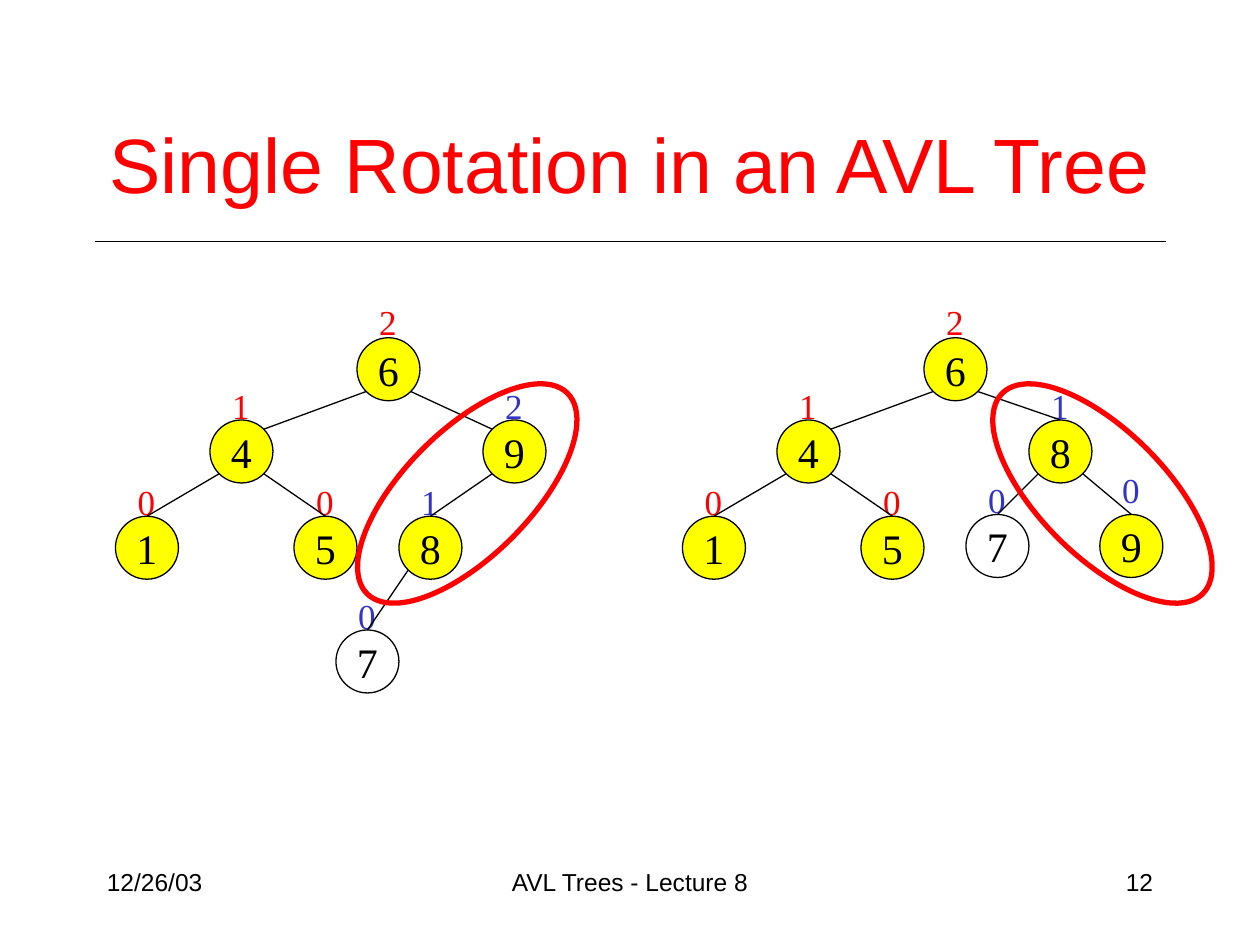
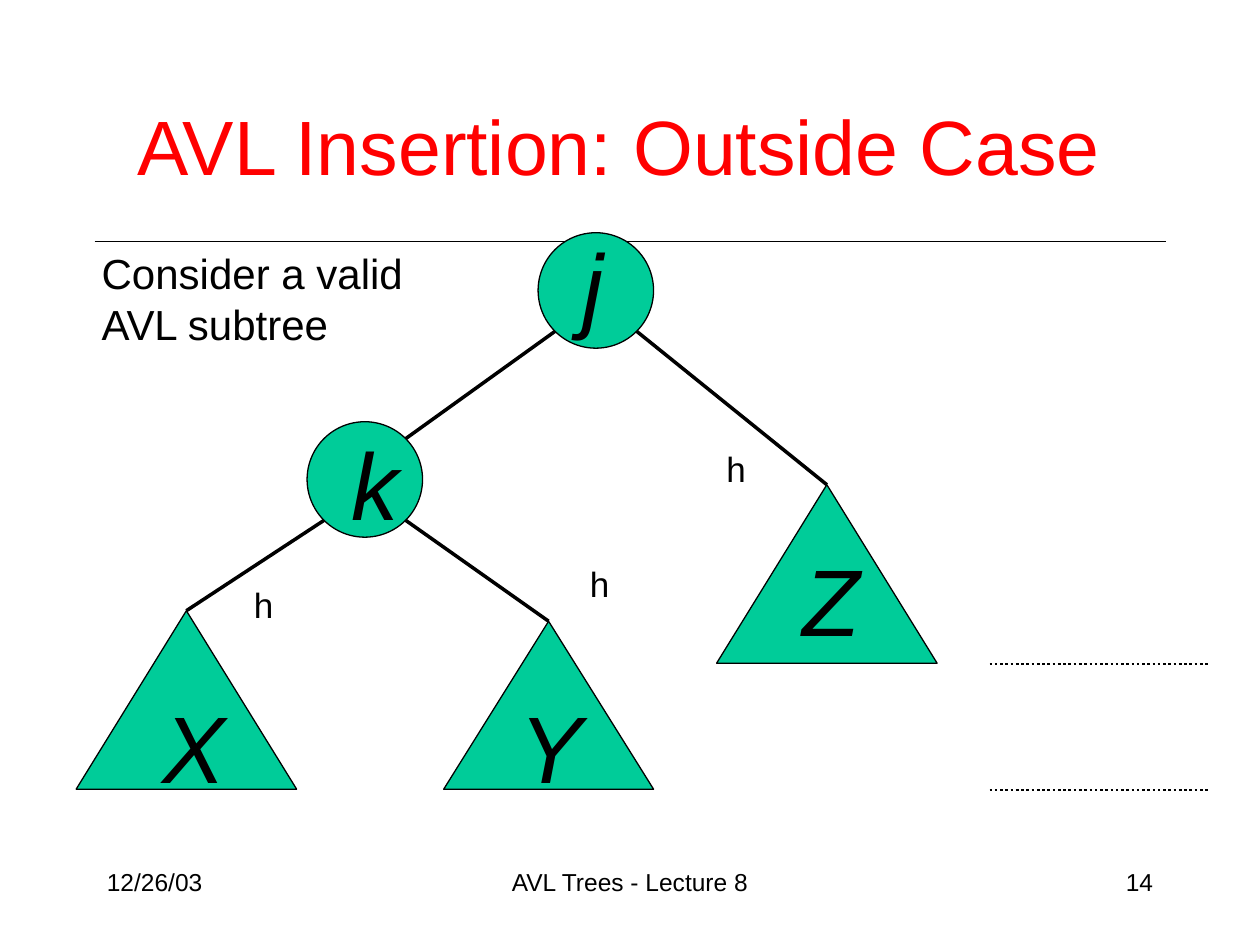
from lxml import etree
from pptx import Presentation
from pptx.dml import color
from pptx.enum import dml, shapes, text
from pptx.oxml import ns
from pptx.util import Pt

BLACK, RED, BLUE = "000000", "FF0000", "3333CC"
YELLOW, GREEN = "FFFF00", "00CC99"
SANS, SERIF = "Arial", "Times New Roman"
LEFT, CENTER, RIGHT = text.PP_ALIGN.LEFT, text.PP_ALIGN.CENTER, text.PP_ALIGN.RIGHT
TOP, MIDDLE = text.MSO_ANCHOR.TOP, text.MSO_ANCHOR.MIDDLE
ELLIPSE = shapes.MSO_SHAPE.OVAL
TRIANGLE = shapes.MSO_SHAPE.ISOSCELES_TRIANGLE
DIAGONAL = 0.5 ** 0.5


def rgb(value):
    return color.RGBColor.from_string(value)


class Deck:
    def __init__(self):
        self.prs = Presentation()
        self.prs.slide_width, self.prs.slide_height = Pt(720), Pt(540)
        self.slide = None

    def start(self, title, title_box, number):
        self.slide = self.prs.slides.add_slide(self.prs.slide_layouts[6])
        self.line((54, 138), (666, 138))
        footers = [("12/26/03", 54, 150, LEFT),
                   ("AVL Trees - Lecture 8", 246, 228, CENTER),
                   (number, 516, 150, RIGHT)]
        for words, left, width, align in footers:
            self.label([words], (left, 492, width, 36), 14, align=align)
        self.label([title], title_box, 44, RED, align=CENTER, anchor=MIDDLE)

    def set_text(self, frame, lines, size, ink=BLACK, font=SANS, align=LEFT,
                 anchor=TOP, wrap=True, italic=False, top_inset=3.6):
        frame.word_wrap = wrap
        frame.vertical_anchor = anchor
        frame.margin_left = frame.margin_right = Pt(7.2)
        frame.margin_top, frame.margin_bottom = Pt(top_inset), Pt(3.6)
        for index, words in enumerate(lines):
            paragraph = frame.add_paragraph() if index else frame.paragraphs[0]
            paragraph.alignment = align
            run = paragraph.add_run()
            run.text = words
            run.font.size, run.font.name = Pt(size), font
            run.font.italic = italic
            run.font.color.rgb = rgb(ink)

    def label(self, lines, box, size, ink=BLACK, **style):
        area = self.slide.shapes.add_textbox(*map(Pt, box))
        self.set_text(area.text_frame, lines, size, ink, **style)

    def shape(self, kind, box, fill=None, ink=BLACK, weight=0.75, turn=0):
        drawn = self.slide.shapes.add_shape(kind, *map(Pt, box))
        drawn.shadow.inherit = False
        drawn.rotation = turn
        if fill:
            drawn.fill.solid()
            drawn.fill.fore_color.rgb = rgb(fill)
        else:
            drawn.fill.background()
        drawn.line.color.rgb = rgb(ink)
        drawn.line.width = Pt(weight)
        return drawn

    def node(self, key, left, top, fill):
        circle = self.shape(ELLIPSE, (left, top, 36, 36), fill)
        self.set_text(circle.text_frame, [key], 24, font=SERIF, align=CENTER,
                      anchor=MIDDLE, wrap=False)
        return circle

    def line(self, begin, end, weight=0.75, dash=None):
        stroke = self.slide.shapes.add_connector(
            shapes.MSO_CONNECTOR.STRAIGHT, *map(Pt, (*begin, *end)))
        stroke.line.color.rgb = rgb(BLACK)
        stroke.line.width = Pt(weight)
        if dash:
            stroke.line.dash_style = dash
        etree.SubElement(stroke._element.spPr, ns.qn("a:effectLst"))
        return stroke

    def edge(self, parent, child, weight=0.75, to_top=True):
        side = 1 if child.left + child.width / 2 > parent.left + parent.width / 2 else -1
        begin = self.rim(parent, side, 1)
        if to_top:
            apex = ((child.left + child.width / 2) / Pt(1), child.top / Pt(1))
            self.line(begin, apex, weight).end_connect(child, 0)
        else:
            self.line(begin, self.rim(child, -side, -1), weight)

    def rim(self, circle, across, down):
        radius = circle.width / 2
        return tuple(round((start + radius * (1 + way * DIAGONAL)) / Pt(1), 2)
                     for start, way in ((circle.left, across), (circle.top, down)))

    def tree(self, nodes, edges):
        for key, left, top, height, ink, fill, rise in nodes:
            self.label([height], (left + 5.6, top - rise, 24.5, 31.7), 20, ink,
                       font=SERIF, wrap=False)
        circles = {key: self.node(key, left, top, fill)
                   for key, left, top, _, _, fill, _ in nodes}
        for parent, child, to_top in edges:
            self.edge(circles[parent], circles[child], to_top=to_top)


def single_rotation(deck):
    deck.start("Single Rotation in an AVL Tree", (54, 48, 612, 90), "12")
    steady_edges = [("6", "4", False), ("4", "1", True), ("4", "5", True)]
    before = [("9", 276, 240, "2", BLUE, YELLOW, 24),
              ("8", 228, 295, "1", BLUE, YELLOW, 24),
              ("7", 192, 360, "0", BLUE, None, 24)]
    before_edges = [("6", "9", False), ("9", "8", True), ("8", "7", True)]
    after = [("8", 588, 240, "1", BLUE, YELLOW, 24),
             ("9", 628.5, 294, "0", BLUE, YELLOW, 30),
             ("7", 552, 294, "0", BLUE, None, 24)]
    after_edges = [("6", "8", True), ("8", "9", True), ("8", "7", True)]
    stages = [(0, before, before_edges), (324, after, after_edges)]
    for shift, rotated, rotated_edges in stages:
        steady = [("6", 204 + shift, 193, "2", RED, YELLOW, 25),
                  ("4", 120 + shift, 240, "1", RED, YELLOW, 24),
                  ("1", 66 + shift, 295, "0", RED, YELLOW, 24),
                  ("5", 168 + shift, 295, "0", RED, YELLOW, 24)]
        deck.tree(steady + rotated, steady_edges + rotated_edges)
    for left, turn in ((186, 315), (549, 45)):
        deck.shape(ELLIPSE, (left, 246, 162, 72), ink=RED, weight=3, turn=turn)


def outside_case(deck):
    deck.start("AVL Insertion: Outside Case ", (52.5, 51, 615, 63), "14")
    parts = [("j", ELLIPSE, (307.5, 133, 66, 66), (325.5, 121)),
             ("k", ELLIPSE, (175.5, 241, 66, 66), (193.5, 235)),
             ("X", TRIANGLE, (43.5, 349, 126, 102), (85.5, 385)),
             ("Y", TRIANGLE, (253.5, 355, 120, 96), (289.5, 385)),
             ("Z", TRIANGLE, (409.5, 277, 126, 102), (451.5, 301))]
    subtree = {}
    for letter, kind, box, corner in parts:
        subtree[letter] = deck.shape(kind, box, GREEN)
        deck.label([letter], (*corner, 40.5, 72), 54, italic=True, top_inset=8.6)
    for parent, child in ("jk", "jZ", "kX", "kY"):
        deck.edge(subtree[parent], subtree[child], 2, to_top=child != "k")
    for level in (379.5, 451.5):
        deck.line((565.5, level), (691.5, level), 1.5, dml.MSO_LINE.ROUND_DOT)
    deck.label(["Consider a valid", "AVL subtree"], (51, 138, 186.5, 65), 24, wrap=False)
    for left, top in ((408, 252), (138, 330), (330, 318)):
        deck.label(["h"], (left, top, 25.5, 31.5), 20, wrap=False)


def main():
    deck = Deck()
    single_rotation(deck)
    outside_case(deck)
    deck.prs.save("out.pptx")


if __name__ == "__main__":
    main()
